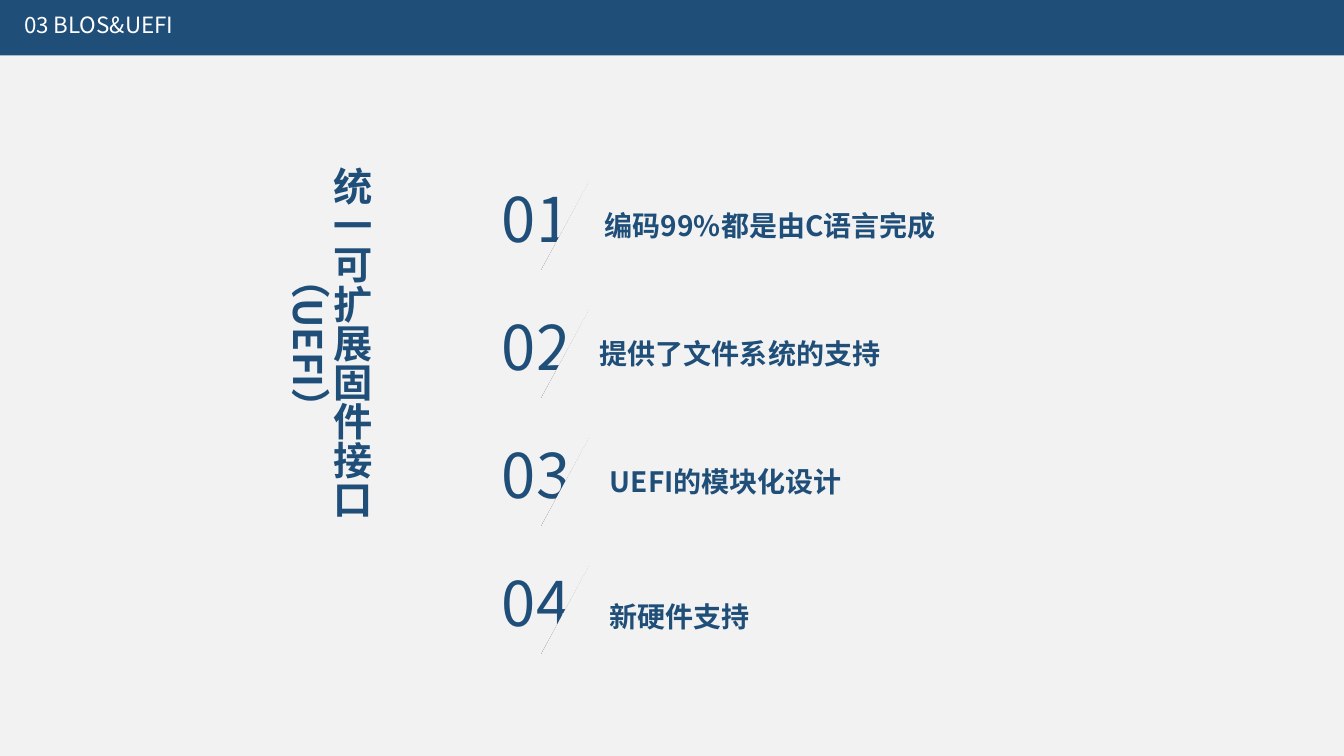
from pptx import Presentation
from pptx import util as u
from pptx.dml.color import RGBColor
from pptx.enum import shapes, text
from pptx.oxml import ns
from lxml import etree

THEME = {
    "navy": RGBColor.from_string("1F4E79"),
    "slate": RGBColor.from_string("333F50"),
    "paper": RGBColor.from_string("F2F2F2"),
    "white": RGBColor.from_string("FFFFFF"),
    "font": "Noto Sans CJK SC",
    "header": 16, "title": 28, "number": 44, "item": 20,
}

deck = Presentation()
deck.slide_width, deck.slide_height = u.Inches(13.33), u.Inches(7.5)
slide = deck.slides.add_slide(deck.slide_layouts[6])
slide.background.fill.solid()
slide.background.fill.fore_color.rgb = THEME["paper"]


def add_text(words, left, top, width, height, size, color="navy", bold=False,
             spacing=1.0, before=0, wrap=True, vertical=False):
    box = slide.shapes.add_textbox(*map(u.Inches, (left, top, width, height)))
    frame = box.text_frame
    frame.word_wrap = wrap
    paragraph = frame.paragraphs[0]
    paragraph.line_spacing = spacing
    paragraph.space_before = u.Pt(before)
    if vertical:
        frame._txBody.bodyPr.set("vert", "eaVert")
        paragraph.alignment = text.PP_ALIGN.CENTER
    run = paragraph.add_run()
    run.text = words
    font = run.font
    font.name, font.size, font.bold = THEME["font"], u.Pt(THEME[size]), bold
    font.color.rgb = THEME[color]
    etree.SubElement(font._element, ns.qn("a:ea"), typeface=THEME["font"])


def add_block(left, top, width, height, color, rotation=0):
    block = slide.shapes.add_shape(
        shapes.MSO_SHAPE.RECTANGLE, *map(u.Inches, (left, top, width, height)))
    block.shadow.inherit = False
    block.fill.solid()
    block.fill.fore_color.rgb = THEME[color]
    block.line.fill.background()
    block.rotation = rotation


# Header band
add_block(0, 0, 13.33, 0.55, "navy")
add_text("03 BLOS&UEFI", 0.14, 0.09, 13.07, 0.33, "header", color="white",
         spacing=0.9, before=10)

# Numbered points: words, left, width, extra drop
points = [
    ("编码99%都是由C语言完成", 5.9, 3.52, 0),
    ("提供了文件系统的支持", 5.85, 3.01, 0),
    ("UEFI的模块化设计", 5.95, 2.51, 0),
    ("新硬件支持", 5.95, 1.6, 0.07),
]
first_top, row_pitch = 1.75, 1.27
for row, (words, left, width, drop) in enumerate(points):
    top = first_top + row * row_pitch
    add_text(f"{row + 1:02}", 4.88, top, 0.92, 0.84, "number", wrap=False)

    # The tilted block trims the number along the slash
    slash = slide.shapes.add_connector(
        shapes.MSO_CONNECTOR.STRAIGHT,
        *map(u.Inches, (5.37, top + 0.93, 5.85, top + 0.05)))
    slash.line.color.rgb = THEME["slate"]
    slash.line.width = u.Pt(0.5)
    etree.SubElement(slash._element.spPr, ns.qn("a:effectLst"))
    add_block(5.54, top + 0.04, 0.29, 1.21, "paper", rotation=208.4)

    add_text(words, left, top + 0.17 + drop, width, 0.5, "item", bold=True,
             spacing=1.3)

# Vertical title
add_text("统一可扩展固件接口（UEFI）", 2.27, 1.56, 1.45, 4.73, "title",
         bold=True, spacing=0.9, before=10, vertical=True)

deck.save("out.pptx")
